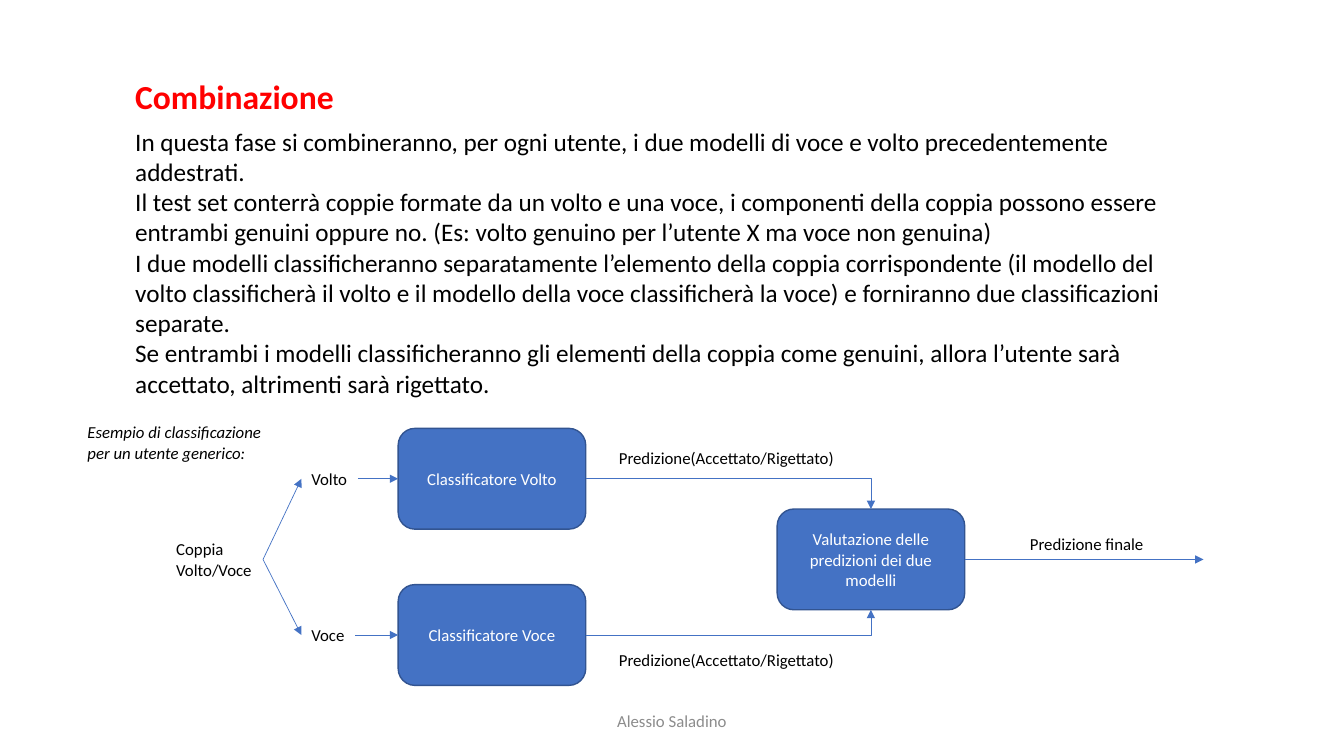
from lxml.etree import SubElement
from pptx import Presentation
from pptx.dml.color import RGBColor
from pptx.enum.dml import MSO_LINE
from pptx.enum.shapes import MSO_CONNECTOR, MSO_SHAPE
from pptx.enum.text import MSO_ANCHOR, PP_ALIGN
from pptx.oxml.ns import qn
from pptx.util import Pt

BLUE = "4472C4"
BLACK = "000000"
TOP, LEFT, BOTTOM, RIGHT = range(4)
VOLTO_Y, VOCE_Y, MIDDLE_Y = 342, 453.6, 399.6
BOX_WIDTH, BOX_HEIGHT, LABEL_HEIGHT = 134, 72, 21.6


def write_text(shape, text, size, color, align=PP_ALIGN.LEFT, wrap=True, bold=False, italic=False):
    frame = shape.text_frame
    frame.text = text
    frame.word_wrap = wrap
    for paragraph in frame.paragraphs:
        paragraph.alignment = align
        for run in paragraph.runs:
            run.font.name = "Calibri"
            run.font.size = Pt(size)
            run.font.bold = bold
            run.font.italic = italic
            run.font.color.rgb = RGBColor.from_string(color)


def style_arrow(connector):
    connector.line.color.rgb = RGBColor.from_string(BLUE)
    connector.line.width = Pt(0.5)
    connector.line.dash_style = MSO_LINE.SOLID
    properties = connector._element.spPr
    SubElement(properties.find(qn("a:ln")), qn("a:tailEnd"), type="triangle")
    SubElement(properties, qn("a:effectLst"))


presentation = Presentation()
presentation.slide_width = Pt(960)
presentation.slide_height = Pt(540)
slide = presentation.slides.add_slide(presentation.slide_layouts[6])
shapes = slide.shapes

footer = shapes.add_textbox(Pt(318), Pt(500.5), Pt(324), Pt(28.75))
footer.text_frame.vertical_anchor = MSO_ANCHOR.MIDDLE
write_text(footer, "Alessio Saladino", 12, "8C8C8C", PP_ALIGN.CENTER)

title = shapes.add_textbox(Pt(89.5), Pt(50.5), Pt(157.5), Pt(36.3))
write_text(title, "Combinazione", 24, "FF0000", wrap=False, bold=True)

body = shapes.add_textbox(Pt(89.5), Pt(86.5), Pt(766.8), Pt(203.6))
body_paragraphs = [
    "In questa fase si combineranno, per ogni utente, i due modelli di voce e volto precedentemente addestrati.",
    "Il test set conterrà coppie formate da un volto e una voce, i componenti della coppia possono essere "
    "entrambi genuini oppure no. (Es: volto genuino per l’utente X ma voce non genuina)",
    "I due modelli classificheranno separatamente l’elemento della coppia corrispondente (il modello del volto "
    "classificherà il volto e il modello della voce classificherà la voce) e forniranno due classificazioni separate.",
    "Se entrambi i modelli classificheranno gli elementi della coppia come genuini, allora l’utente sarà "
    "accettato, altrimenti sarà rigettato.",
]
write_text(body, "\n".join(body_paragraphs), 18, BLACK)

caption = shapes.add_textbox(Pt(55.4), Pt(298), Pt(139), Pt(36))
write_text(caption, "Esempio di classificazione per un utente generico:", 12, BLACK, italic=True)

nodes = {}
for name, text, left, middle in [
    ("face_classifier", "Classificatore Volto", 284.4, VOLTO_Y),
    ("voice_classifier", "Classificatore Voce", 284.4, VOCE_Y),
    ("evaluation", "Valutazione delle predizioni dei due modelli", 555.1, MIDDLE_Y),
]:
    box = shapes.add_shape(MSO_SHAPE.ROUNDED_RECTANGLE, Pt(left), Pt(middle - BOX_HEIGHT / 2),
                           Pt(BOX_WIDTH), Pt(BOX_HEIGHT))
    box.shadow.inherit = False
    box.fill.solid()
    box.fill.fore_color.rgb = RGBColor.from_string(BLUE)
    box.line.color.rgb = RGBColor.from_string("325491")
    box.line.width = Pt(1)
    box.text_frame.vertical_anchor = MSO_ANCHOR.MIDDLE
    write_text(box, text, 12, "FFFFFF", PP_ALIGN.CENTER)
    nodes[name] = box

for name, text, left, middle, width, height in [
    ("pair", "Coppia\nVolto/Voce", 118.8, MIDDLE_Y, 69.1, 36),
    ("face", "Volto", 215.3, VOLTO_Y, 40.3, LABEL_HEIGHT),
    ("voice", "Voce", 215.3, VOCE_Y, 38.5, LABEL_HEIGHT),
    ("face_prediction", "Predizione(Accettato/Rigettato)", 435, 327, 170.6, LABEL_HEIGHT),
    ("voice_prediction", "Predizione(Accettato/Rigettato)", 435, 471.6, 170.6, LABEL_HEIGHT),
    ("final_prediction", "Predizione finale", 728.6, 388.4, 96.5, LABEL_HEIGHT),
]:
    label = shapes.add_textbox(Pt(left), Pt(middle - height / 2), Pt(width), Pt(height))
    write_text(label, text, 12, BLACK, wrap=False)
    nodes[name] = label

for start, end, end_side in [
    ("pair", "face", LEFT),
    ("pair", "voice", LEFT),
    ("face", "face_classifier", LEFT),
    ("voice", "voice_classifier", LEFT),
    ("face_classifier", "evaluation", TOP),
    ("voice_classifier", "evaluation", BOTTOM),
]:
    kind = MSO_CONNECTOR.STRAIGHT if end_side == LEFT else MSO_CONNECTOR.ELBOW
    arrow = shapes.add_connector(kind, 0, 0, 0, 0)
    arrow.begin_connect(nodes[start], RIGHT)
    arrow.end_connect(nodes[end], end_side)
    if kind == MSO_CONNECTOR.ELBOW:
        arrow._element.spPr.find(qn("a:prstGeom")).set("prst", "bentConnector2")
    style_arrow(arrow)

final_arrow = shapes.add_connector(MSO_CONNECTOR.STRAIGHT, Pt(689.1), Pt(MIDDLE_Y), Pt(859.7), Pt(MIDDLE_Y))
final_arrow.begin_connect(nodes["evaluation"], RIGHT)
style_arrow(final_arrow)

presentation.save("out.pptx")
